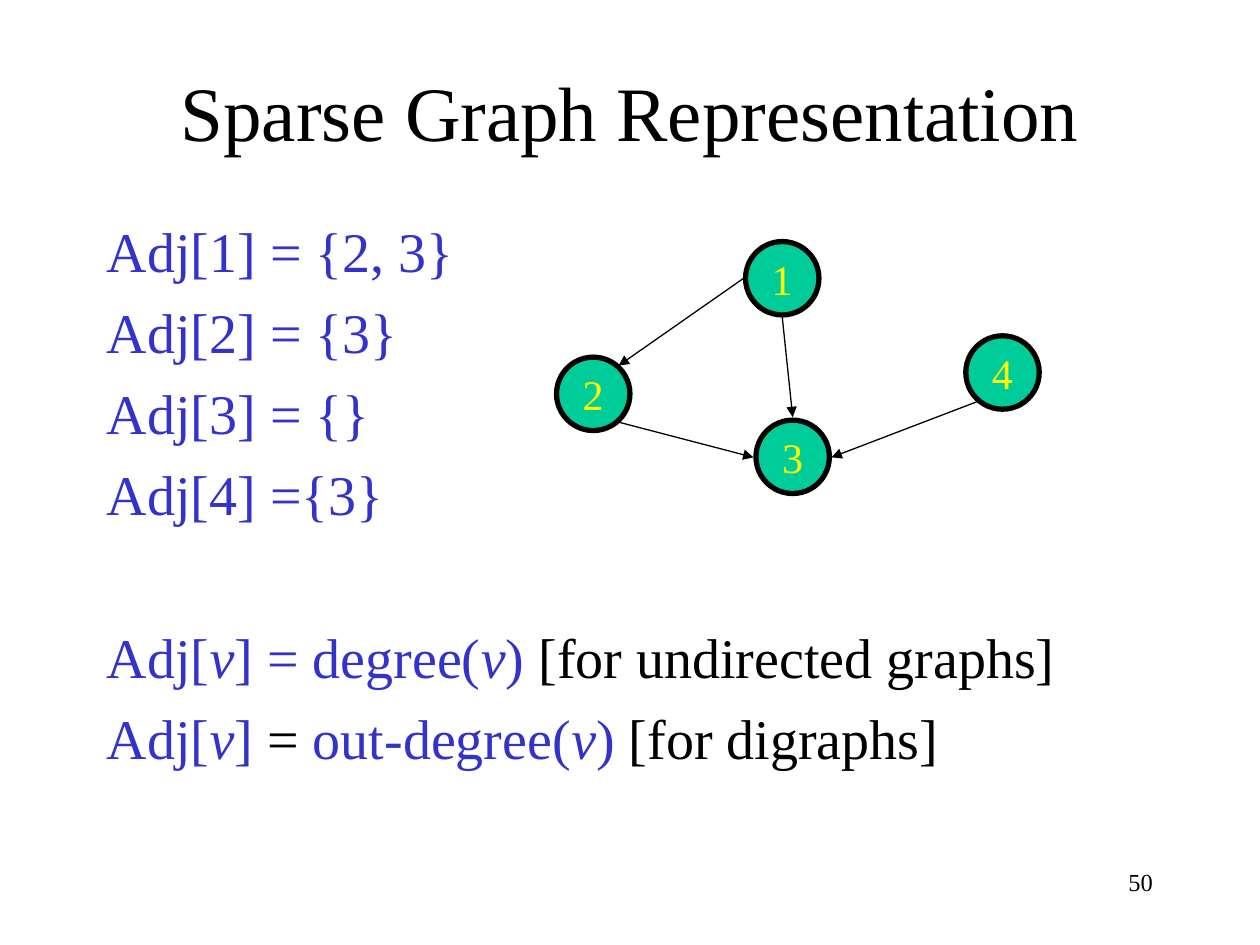
from lxml import etree
from pptx import Presentation
from pptx.dml.color import RGBColor
from pptx.enum import shapes, text
from pptx.oxml import ns
from pptx.util import Cm, Pt

BLACK = RGBColor(0, 0, 0)
BLUE = RGBColor(0x33, 0x33, 0xCC)
GREEN = RGBColor(0, 0xCC, 0x99)
YELLOW = RGBColor(0xFF, 0xFF, 0)
FONT = "Times New Roman"


def style(r, size, color, italic=False):
    r.font.name = FONT
    r.font.size = Pt(size)
    r.font.color.rgb = color
    r.font.italic = italic


prs = Presentation()
prs.slide_width, prs.slide_height = Cm(25.4), Cm(19.05)
s = prs.slides.add_slide(prs.slide_layouts[1])

# Title
sp = s.shapes.title
sp.left, sp.top, sp.width, sp.height = Cm(1.9), Cm(0.64), Cm(21.6), Cm(3.18)
tf = sp.text_frame
tf.text = "Sparse Graph Representation"
tf.auto_size = text.MSO_AUTO_SIZE.NONE
tf.vertical_anchor = text.MSO_ANCHOR.MIDDLE
p = tf.paragraphs[0]
p.alignment = text.PP_ALIGN.CENTER
style(p.runs[0], 44, BLACK)

# Adjacency lists, then the degree rules: (text, colour, italic) per run
lines = [[(t, BLUE, False)] for t in
         ("Adj[1] = {2, 3}", "Adj[2] = {3}", "Adj[3] = {}", "Adj[4] ={3}")]
lines += [
    [("Adj[", BLUE, False), ("v", BLUE, True), ("] = degree(", BLUE, False),
     ("v", BLUE, True), (")", BLUE, False),
     (" [for undirected graphs]", BLACK, False)],
    [("Adj[", BLUE, False), ("v", BLUE, True), ("]", BLUE, False),
     (" = ", BLACK, False), ("out-degree(", BLUE, False), ("v", BLUE, True),
     (")", BLUE, False), (" [for digraphs]", BLACK, False)],
]
sp = s.placeholders[1]
sp.left, sp.top, sp.width, sp.height = Cm(1.9), Cm(4.23), Cm(21.6), Cm(12.7)
tf = sp.text_frame
tf.auto_size = text.MSO_AUTO_SIZE.NONE
for i, line in enumerate(lines):
    p = tf.paragraphs[0] if i == 0 else tf.add_paragraph()
    pPr = p._p.get_or_add_pPr()
    pPr.set("marL", str(Cm(0.95)))
    pPr.set("indent", str(-Cm(0.95)))
    etree.SubElement(pPr, ns.qn("a:buNone"))
    # The degree rules start one line further down
    p.space_before = Pt(0 if i == 0 else 54.5 if i == 4 else 8)
    for words, color, italic in line:
        r = p.add_run()
        r.text = words
        style(r, 32, color, italic)

# Graph nodes: label, left, top
for label, x, y in (("1", 15.03, 4.87), ("3", 15.24, 8.47),
                    ("2", 11.22, 7.2), ("4", 19.47, 6.77)):
    sp = s.shapes.add_shape(shapes.MSO_SHAPE.OVAL, Cm(x), Cm(y), Cm(1.48), Cm(1.48))
    sp.shadow.inherit = False
    sp.fill.solid()
    sp.fill.fore_color.rgb = GREEN
    sp.line.color.rgb = BLACK
    sp.line.width = Pt(3)
    tf = sp.text_frame
    tf.text = label
    tf.word_wrap = False
    tf.vertical_anchor = text.MSO_ANCHOR.MIDDLE
    p = tf.paragraphs[0]
    p.alignment = text.PP_ALIGN.CENTER
    style(p.runs[0], 24, YELLOW)

# Directed edges: 1-2, 2-3, 1-3, 4-3
for x1, y1, x2, y2 in ((14.99, 5.61, 12.47, 7.37), (12.47, 8.51, 15.19, 9.22),
                       (15.77, 6.4, 15.98, 8.41), (19.69, 8.1, 16.76, 9.22)):
    c = s.shapes.add_connector(shapes.MSO_CONNECTOR.STRAIGHT,
                               Cm(x1), Cm(y1), Cm(x2), Cm(y2))
    c.line.color.rgb = BLACK
    c.line.width = Pt(0.75)
    etree.SubElement(c.line._get_or_add_ln(), ns.qn("a:tailEnd"), type="triangle")
    etree.SubElement(c._element.spPr, ns.qn("a:effectLst"))

# Page number
sp = s.shapes.add_textbox(Cm(18.2), Cm(17.35), Cm(5.29), Cm(1.27))
tf = sp.text_frame
tf.word_wrap = True
tf.text = "50"
p = tf.paragraphs[0]
p.alignment = text.PP_ALIGN.RIGHT
style(p.runs[0], 14, BLACK)

prs.save("out.pptx")
